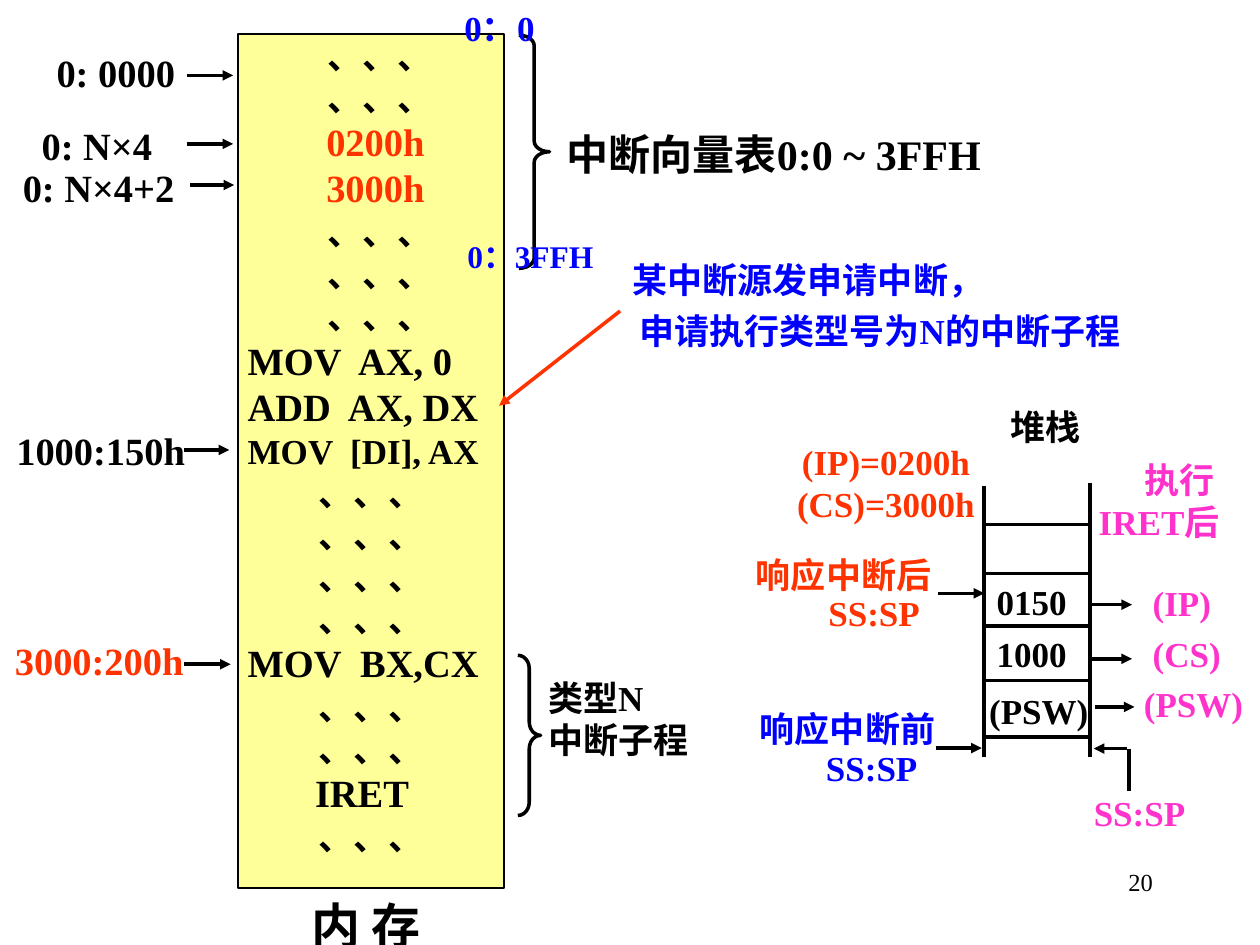
from dataclasses import dataclass

import pptx
import pptx.dml.color
import pptx.enum.shapes
import pptx.enum.text
import pptx.oxml.ns
import pptx.util
from lxml import etree

Cm, Pt = pptx.util.Cm, pptx.util.Pt
SHAPE = pptx.enum.shapes.MSO_SHAPE
ALIGN = pptx.enum.text.PP_ALIGN
LEFT, CENTER, RIGHT = ALIGN.LEFT, ALIGN.CENTER, ALIGN.RIGHT
qn = pptx.oxml.ns.qn


@dataclass(frozen=True)
class Theme:
    black: str = "000000"
    red: str = "FF3300"
    blue: str = "0000FF"
    pink: str = "FF33CC"
    memory: str = "FFFF99"
    latin: str = "Times New Roman"
    cjk: str = "Noto Sans CJK SC"
    number: int = 14
    small: int = 18
    body: int = 20
    code: int = 22
    range: int = 24
    caption: int = 28
    stroke: int = 2
    leading: float = 1.2


T = Theme()


@dataclass(frozen=True)
class Box:
    """A region in centimetres; inner boxes are placed from its top left corner."""
    x: float
    y: float
    w: float
    h: float

    def inner(self, x, y, w, h):
        return Box(self.x + x, self.y + y, w, h)

    def lengths(self):
        return [Cm(v) for v in (self.x, self.y, self.w, self.h)]


@dataclass(frozen=True)
class Para:
    text: str
    size: int = T.body
    color: str = T.black
    align: object = LEFT
    indent: float = 0
    bold: bool = True
    spacing: float = T.leading
    after: int = 0


def rgb(value):
    return pptx.dml.color.RGBColor.from_string(value)


def write(tf, paras, inset=(0, 0), wrap=True):
    tf.word_wrap = wrap
    tf.margin_left = tf.margin_right = Cm(inset[0])
    tf.margin_top = tf.margin_bottom = Cm(inset[1])
    tf.vertical_anchor = pptx.enum.text.MSO_ANCHOR.TOP
    for i, para in enumerate(paras):
        p = tf.paragraphs[0] if i == 0 else tf.add_paragraph()
        p.alignment = para.align
        p.line_spacing = Pt(para.size * para.spacing)
        p.space_after = Pt(para.after)
        if para.indent:
            p._p.get_or_add_pPr().set("marL", str(Pt(para.indent)))
        r = p.add_run()
        r.text = para.text
        r.font.size = Pt(para.size)
        r.font.bold = para.bold
        r.font.color.rgb = rgb(para.color)
        r.font.name = T.latin
        etree.SubElement(r._r.get_or_add_rPr(), qn("a:ea"), typeface=T.cjk)


def text(s, box, *paras, **options):
    write(s.shapes.add_textbox(*box.lengths()).text_frame, paras, **options)


def line(s, box, x1, y1, x2, y2, color=T.black, arrow=True):
    ends = (box.x + x1, box.y + y1, box.x + x2, box.y + y2)
    c = s.shapes.add_connector(pptx.enum.shapes.MSO_CONNECTOR.STRAIGHT, *map(Cm, ends))
    c.line.color.rgb = rgb(color)
    c.line.width = Pt(T.stroke)
    if arrow:
        etree.SubElement(c.line._get_or_add_ln(), qn("a:tailEnd"), type="triangle")
    etree.SubElement(c._element.spPr, qn("a:effectLst"))


def brace(s, box, curve):
    sp = s.shapes.add_shape(SHAPE.RIGHT_BRACE, *box.lengths())
    sp.adjustments[0] = curve
    sp.shadow.inherit = False
    sp.fill.background()
    sp.line.color.rgb = rgb(T.black)
    sp.line.width = Pt(T.stroke)


def addresses(s, box):
    """Address labels, each with an arrow to its memory row."""
    rows = [
        ("0: 0000", T.black, 0.84, 0.3, 3.46, 0.83, 4.4),
        ("0: N×4", T.black, 0.54, 1.77, 3.46, 2.21, 4.4),
        ("0: N×4+2", T.black, 0.16, 2.61, 3.54, 3.04, 4.42),
        ("1000:150h", T.black, 0.03, 7.92, 3.41, 8.38, 4.32),
        ("3000:200h", T.red, 0, 12.16, 3.41, 12.7, 4.35),
    ]
    for label, color, x, y, start, mid, end in rows:
        text(s, box.inner(x, y, 3.71 - x, 0.9), Para(label, T.code, color))
        line(s, box, start, mid, end, mid)


def memory(s, box):
    def dots(count, indent=0):
        return [Para("、、、", align=CENTER, indent=indent)] * count

    def code(content, size=T.code, indent=5.5):
        return Para(content, size, indent=indent)

    vector = [Para(v, T.code, T.red, CENTER, 5) for v in ("0200h", "3000h")]
    sp = s.shapes.add_shape(SHAPE.RECTANGLE, *box.lengths())
    sp.shadow.inherit = False
    sp.fill.solid()
    sp.fill.fore_color.rgb = rgb(T.memory)
    sp.line.color.rgb = rgb(T.black)
    sp.line.width = Pt(1)
    write(sp.text_frame, [
        *dots(2, 10), *vector, *dots(3, 10),
        code("MOV  AX, 0"), code("ADD  AX, DX"), code("MOV  [DI], AX", T.body),
        *dots(4), code("MOV  BX,CX"), *dots(2), code("IRET", indent=44), *dots(1)])
    text(s, box.inner(0.92, 17.37, 3.3, 0.99), Para("内 存", T.caption, align=CENTER))


def vector_table(s, box):
    brace(s, box, 0.34)
    text(s, box.inner(0.34, 1.88, 9.6, 1.57),
         Para("中断向量表0:0 ~ 3FFH", T.range, align=CENTER))
    text(s, box.inner(-1.57, 3.94, 3.61, 1.02),
         Para("0：3FFH", T.small, T.blue, CENTER), inset=(0.25, 0.13))
    text(s, box.inner(-1.52, -0.71, 2.26, 1.12),
         Para("0：0", T.body, T.blue, CENTER), inset=(0.25, 0.13), wrap=False)


def service_routine(s, box):
    brace(s, box, 0.58)
    text(s, box.inner(0.61, 0.43, 3.45, 2.21), Para("类型N"), Para("中断子程"))


def request(s, box):
    """The interrupt request and the instruction it strikes."""
    line(s, box, 2.44, 1.06, 0, box.h, T.red)
    text(s, box.inner(2.34, 0, 10.67, 1.7),
         Para("某中断源发申请中断，", color=T.blue, indent=10, after=5),
         Para("申请执行类型号为N的中断子程", color=T.blue, align=CENTER, after=5))


def stack(s, box):
    text(s, box.inner(0.28, -1.55, 1.93, 1.02), Para("堆栈", align=CENTER))
    line(s, box, 0, 0.07, 0, box.h, arrow=False)
    line(s, box, box.w, 0, box.w, box.h, arrow=False)
    for y in (0.84, 1.83, 2.89, 3.99, 5.13):
        line(s, box, 0.03, y, box.w + 0.03, y, arrow=False)
    for value, x, y, w in (("0150", 0.25, 1.98, 1.75), ("1000", 0.25, 3.02, 1.75),
                           ("(PSW)", 0.1, 4.16, 2.51)):
        text(s, box.inner(x, y, w, 0.86), Para(value))


def stack_pointer(s, box, label, color):
    text(s, box.inner(0, 0, 4, 0.81), Para(label, color=color))
    text(s, box.inner(box.w - 3.14, 0.78, 2.01, 0.89), Para("SS:SP", color=color))
    line(s, box, box.w - 0.93, 0.81, box.w, 0.81)


def after_return(s, box):
    """Registers restored from the stack by IRET."""
    text(s, box.inner(0.13, 0, 3.25, 2.11),
         Para("执行", color=T.pink, align=CENTER), Para("IRET后", color=T.pink))
    registers = [Para(name, color=T.pink, indent=indent, spacing=T.leading ** 2)
                 for name, indent in (("(IP)", 5), ("(CS)", 5), ("(PSW)", 0))]
    text(s, box.inner(1.04, 2.31, 2.13, 3.25), *registers)
    for x, y in ((0, 2.94), (0, 4.03), (0.05, 5)):
        line(s, box, x, y, x + 0.8, y)
    line(s, box, 0.69, 5.84, 0.03, 5.84)
    line(s, box, 0.74, 5.84, 0.74, 6.7, arrow=False)
    text(s, box.inner(0.03, 6.7, 2.49, 0.89), Para("SS:SP", color=T.pink))


def main():
    prs = pptx.Presentation()
    prs.slide_width, prs.slide_height = Cm(25.4), Cm(19.05)
    s = prs.slides.add_slide(prs.slide_layouts[6])
    text(s, Box(18.21, 17.35, 5.28, 1.27),
         Para("20", T.number, align=RIGHT, bold=False), inset=(0.25, 0.13))
    addresses(s, Box(0.3, 0.69, 4.45, 17.22))
    memory(s, Box(4.8, 0.69, 5.36, 17.22))
    service_routine(s, Box(10.44, 13.21, 0.46, 3.23))
    vector_table(s, Box(10.46, 0.71, 0.62, 4.7))
    request(s, Box(10.06, 5.21, 13, 2.97))
    stack_pointer(s, Box(15.32, 14.27, 4.47, 1.7), "响应中断前", T.blue)
    stack_pointer(s, Box(15.24, 11.15, 4.6, 1.7), "响应中断后", T.red)
    stack(s, Box(19.84, 9.73, 2.13, 5.54))
    after_return(s, Box(22.02, 9.25, 3.38, 7.6))
    text(s, Box(16.03, 8.89, 3.66, 1.93),
         Para("(IP)=0200h", color=T.red, align=CENTER),
         Para("(CS)=3000h", color=T.red, align=CENTER))
    prs.save("out.pptx")


if __name__ == "__main__":
    main()
